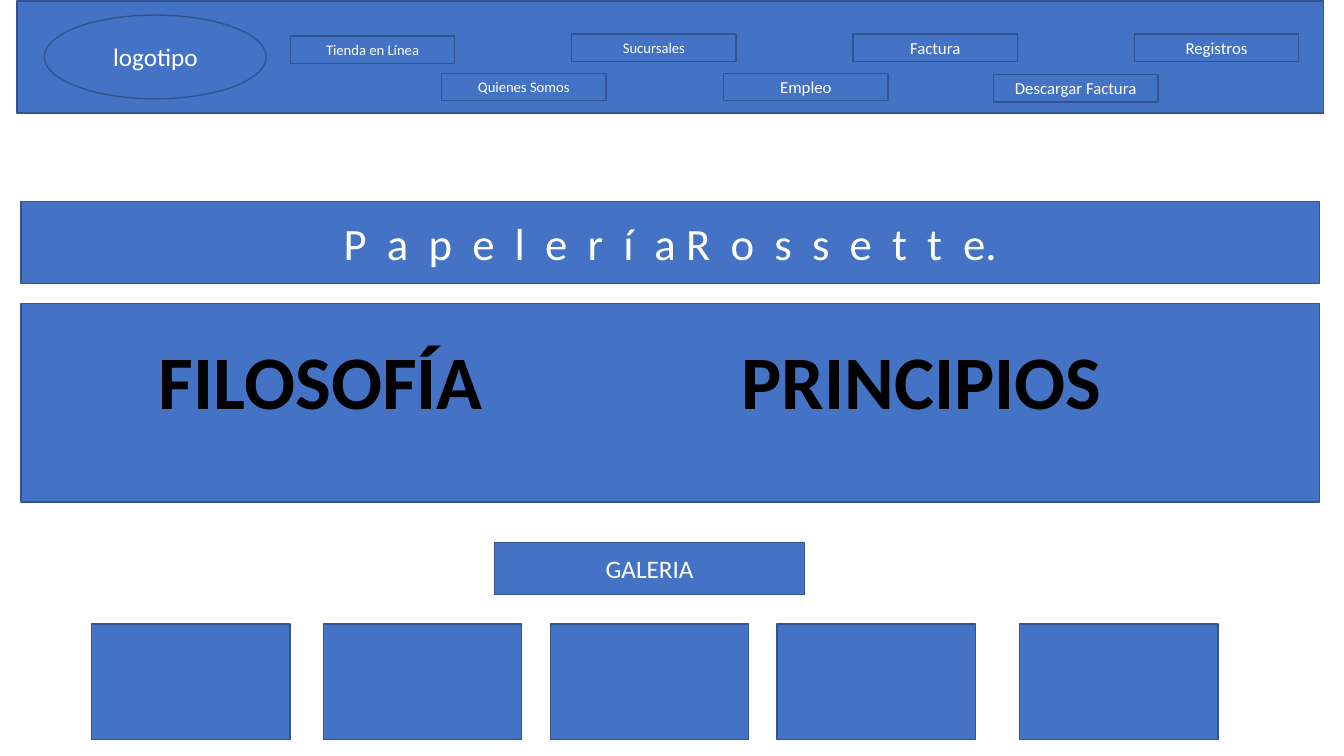
import pptx
import pptx.dml.color
import pptx.enum.shapes
import pptx.enum.text
import pptx.oxml
import pptx.oxml.ns
import pptx.util

Cm = pptx.util.Cm
Pt = pptx.util.Pt
SHAPES = pptx.enum.shapes.MSO_SHAPE

BLUE, BORDER, WHITE, BLACK = "4472C4", "325491", "FFFFFF", "000000"
TITLE_ONLY = 5

# Navigation labels: text, left, top, text size
TOP_LEFT, TOP_STEP = 7.32, 7.09
TOP_LINKS = [("Tienda en Línea", 0.91, 10.5), ("Sucursales", 0.86, 10.5),
             ("Factura", 0.86, 12), ("Registros", 0.86, 12)]
LOWER_LINKS = [("Quienes Somos", 11.13, 1.85, 10.5), ("Empleo", 18.24, 1.85, 12),
               ("Descargar Factura", 25.04, 1.88, 12)]
GALLERY_LEFTS = [2.31, 8.15, 13.87, 19.58, 25.7]

# Title pieces with the extra letter spacing of each, in points
TITLE_RUNS = [("P a p e l e r í ", 3.6), ("a ", 0), ("R o s s e t t ", 3.6), ("e.", 0)]


def color(value):
    return pptx.dml.color.RGBColor.from_string(value)


def set_format(target, values):
    for name, value in values.items():
        setattr(target, name, value)


def paint(shape):
    """Give a shape the blue fill and the thin dark border."""
    shape.fill.solid()
    shape.fill.fore_color.rgb = color(BLUE)
    shape.line.color.rgb = color(BORDER)
    shape.line.width = Pt(1)


def add_run(shape, text, size, text_color=WHITE, bold=False):
    """Add a run to the centred first paragraph of a shape."""
    shape.text_frame.vertical_anchor = pptx.enum.text.MSO_ANCHOR.MIDDLE
    paragraph = shape.text_frame.paragraphs[0]
    paragraph.alignment = pptx.enum.text.PP_ALIGN.CENTER
    run = paragraph.add_run()
    run.text = text
    set_format(run.font, {"name": "Calibri", "size": Pt(size), "bold": bold})
    run.font.color.rgb = color(text_color)
    return run


def add_box(slide, left, top, width, height, text="", size=18, kind=SHAPES.RECTANGLE):
    shape = slide.shapes.add_shape(kind, Cm(left), Cm(top), Cm(width), Cm(height))
    shape.shadow.inherit = False
    paint(shape)
    if text:
        add_run(shape, text, size)


def add_link(slide, text, left, top, size):
    add_box(slide, left, top, 4.14, 0.69, text, size)


def add_heading(slide, text, left, width):
    """Add a large bold heading with a thin white outline."""
    box = slide.shapes.add_textbox(Cm(left), Cm(8.28), Cm(width), Cm(2.57))
    set_format(box.text_frame, {"word_wrap": False,
                                "auto_size": pptx.enum.text.MSO_AUTO_SIZE.SHAPE_TO_FIT_TEXT})
    run = add_run(box, text, 54, BLACK, bold=True)
    outline = pptx.oxml.parse_xml(
        f'<a:ln {pptx.oxml.ns.nsdecls("a")} w="9525"><a:solidFill>'
        f'<a:srgbClr val="{WHITE}"/></a:solidFill></a:ln>')
    run._r.get_or_add_rPr().insert(0, outline)


def format_title(slide):
    title = slide.shapes.title
    set_format(title, {"left": Cm(0.53), "top": Cm(5.08),
                       "width": Cm(32.72), "height": Cm(2.06)})
    title.text_frame.auto_size = pptx.enum.text.MSO_AUTO_SIZE.NONE
    paint(title)
    for text, spacing in TITLE_RUNS:
        run = add_run(title, text, 32)
        run._r.get_or_add_rPr().set("spc", str(round(spacing * 100)))


def main():
    presentation = pptx.Presentation()
    set_format(presentation, {"slide_width": Cm(33.87), "slide_height": Cm(19.05)})
    slide = presentation.slides.add_slide(presentation.slide_layouts[TITLE_ONLY])

    # Header with logo placeholder and navigation
    add_box(slide, 0.43, 0.03, 32.92, 2.82)
    add_box(slide, 1.12, 0.38, 5.59, 2.11, "logotipo", kind=SHAPES.OVAL)
    for index, (text, top, size) in enumerate(TOP_LINKS):
        add_link(slide, text, TOP_LEFT + index * TOP_STEP, top, size)
    for link in LOWER_LINKS:
        add_link(slide, *link)

    # Title banner
    format_title(slide)

    # Philosophy and principles panel
    add_box(slide, 0.53, 7.65, 32.72, 5)
    add_heading(slide, "FILOSOFÍA", 3.71, 8.76)
    add_heading(slide, "PRINCIPIOS", 18.39, 9.68)

    # Gallery
    add_box(slide, 12.47, 13.67, 7.8, 1.32, "GALERIA")
    for left in GALLERY_LEFTS:
        add_box(slide, left, 15.72, 5, 2.92)

    presentation.save("out.pptx")


if __name__ == "__main__":
    main()
